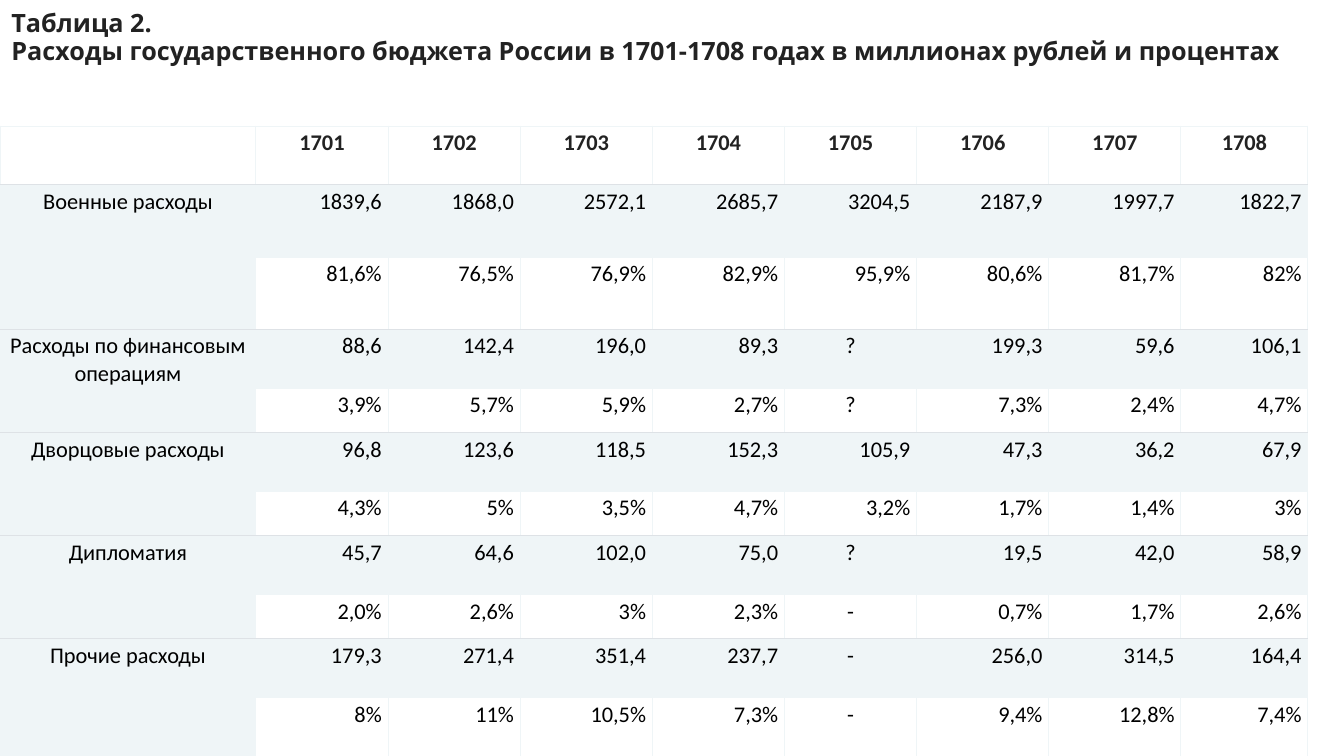
from dataclasses import dataclass
from typing import Any

from lxml import etree
from pptx import Presentation
from pptx import util as u
from pptx.dml.color import RGBColor
from pptx.enum import text
from pptx.oxml.ns import qn


@dataclass(frozen=True)
class Theme:
    white: str = "FFFFFF"
    band: str = "EFF5F7"
    rule: str = "DEE2E6"
    dark: str = "222222"
    black: str = "000000"
    head: str = "Open Sans"
    body: str = "Calibri"
    big: int = 18
    small: int = 16
    line: float = 0.75


@dataclass(frozen=True)
class Group:
    name: str
    sums: str
    rates: str
    highs: tuple[float, float] = (1.48, 1.12)


@dataclass(frozen=True)
class Look:
    fill: str
    top: str
    base: str
    ink: str = "000000"
    bold: bool = False


LOOK = Theme()
ALIGN = text.PP_ALIGN
TITLE = (
    "Таблица 2.",
    "Расходы государственного бюджета России в 1701-1708 годах в миллионах рублей и процентах",
)
YEARS = [str(year) for year in range(1701, 1709)]
GROUPS = [
    Group("Военные расходы",
          "1839,6 1868,0 2572,1 2685,7 3204,5 2187,9 1997,7 1822,7",
          "81,6% 76,5% 76,9% 82,9% 95,9% 80,6% 81,7% 82%", (1.82, 1.82)),
    Group("Расходы по финансовым операциям",
          "88,6 142,4 196,0 89,3 ? 199,3 59,6 106,1",
          "3,9% 5,7% 5,9% 2,7% ? 7,3% 2,4% 4,7%"),
    Group("Дворцовые расходы",
          "96,8 123,6 118,5 152,3 105,9 47,3 36,2 67,9",
          "4,3% 5% 3,5% 4,7% 3,2% 1,7% 1,4% 3%"),
    Group("Дипломатия",
          "45,7 64,6 102,0 75,0 ? 19,5 42,0 58,9",
          "2,0% 2,6% 3% 2,3% - 0,7% 1,7% 2,6%"),
    Group("Прочие расходы",
          "179,3 271,4 351,4 237,7 - 256,0 314,5 164,4",
          "8% 11% 10,5% 7,3% - 9,4% 12,8% 7,4%", (1.48, 1.48)),
]
WIDTHS = [6.45] + [3.33] * 7 + [3.2]
HIGHS = [1.48] + [high for group in GROUPS for high in group.highs]


def apply(item: Any, form: dict[str, Any]) -> None:
    for key, value in form.items():
        setattr(item, key, value)


def ink(font: Any, face: str, size: int, tone: str, bold: bool) -> None:
    apply(font, {"name": face, "size": u.Pt(size), "bold": bold})
    font.color.rgb = RGBColor.from_string(tone)


def edge(cell: Any, side: str, tone: str) -> None:
    props = cell._tc.get_or_add_tcPr()
    line = etree.SubElement(props, qn(f"a:ln{side}"), w=str(u.Pt(LOOK.line)))
    fill = etree.SubElement(line, qn("a:solidFill"))
    etree.SubElement(fill, qn("a:srgbClr"), val=tone)


def paint(cell: Any, look: Look) -> None:
    apply(cell, {"margin_left": u.Cm(0.16), "margin_right": u.Cm(0.16),
                 "margin_top": u.Cm(0.08), "margin_bottom": u.Cm(0.08)})
    for side, tone in (("L", LOOK.band), ("R", LOOK.band),
                       ("T", look.top), ("B", look.base)):
        edge(cell, side, tone)
    cell.fill.solid()
    cell.fill.fore_color.rgb = RGBColor.from_string(look.fill)


def write(cell: Any, words: str, look: Look, align: Any) -> None:
    para = cell.text_frame.paragraphs[0]
    para.alignment = align
    run = para.add_run()
    run.text = words
    ink(run.font, LOOK.body, LOOK.small, look.ink, look.bold)


def fill_row(grid: Any, row: int, words: list[str], look: Look, head: bool = False) -> None:
    for col, word in enumerate(words, 1):
        cell = grid.cell(row, col)
        paint(cell, look)
        mid = head or word in "?-"
        write(cell, word, look, ALIGN.CENTER if mid else ALIGN.RIGHT)


def add_title(slide: Any) -> None:
    title = slide.shapes.title
    apply(title, {"left": u.Cm(0.03), "top": u.Cm(0.15),
                  "width": u.Cm(33.83), "height": u.Cm(2.57)})
    title.fill.solid()
    title.fill.fore_color.rgb = RGBColor.from_string(LOOK.white)
    frame = title.text_frame
    apply(frame, {"text": "\n".join(TITLE), "word_wrap": True,
                  "auto_size": text.MSO_AUTO_SIZE.NONE,
                  "vertical_anchor": text.MSO_ANCHOR.TOP})
    for para in frame.paragraphs:
        apply(para, {"alignment": ALIGN.LEFT, "line_spacing": 0.9})
        ink(para.runs[0].font, LOOK.head, LOOK.big, LOOK.dark, True)


def add_grid(slide: Any) -> None:
    frame = slide.shapes.add_table(
        len(HIGHS), len(WIDTHS), u.Cm(0), u.Cm(3.18),
        u.Cm(sum(WIDTHS)), u.Cm(sum(HIGHS)))
    grid = frame.table
    apply(grid, {"first_row": False, "horz_banding": False})
    for col, width in zip(grid.columns, WIDTHS):
        col.width = u.Cm(width)
    for row, high in zip(grid.rows, HIGHS):
        row.height = u.Cm(high)

    top = Look(LOOK.white, LOOK.band, LOOK.rule, LOOK.dark, True)
    paint(grid.cell(0, 0), top)
    fill_row(grid, 0, YEARS, top, head=True)
    for index, group in enumerate(GROUPS):
        row = 1 + 2 * index
        base = LOOK.band if group is GROUPS[-1] else LOOK.rule
        name = Look(LOOK.band, LOOK.rule, base)
        cell, tail = grid.cell(row, 0), grid.cell(row + 1, 0)
        cell.merge(tail)
        paint(cell, name)
        paint(tail, name)
        write(cell, group.name, name, ALIGN.CENTER)
        fill_row(grid, row, group.sums.split(), Look(LOOK.band, LOOK.rule, LOOK.band))
        fill_row(grid, row + 1, group.rates.split(), Look(LOOK.white, LOOK.band, base))


def main() -> None:
    deck = Presentation()
    apply(deck, {"slide_width": u.Cm(33.87), "slide_height": u.Cm(19.05)})
    slide = deck.slides.add_slide(deck.slide_layouts[5])
    add_grid(slide)
    add_title(slide)
    deck.save("out.pptx")


if __name__ == "__main__":
    main()
